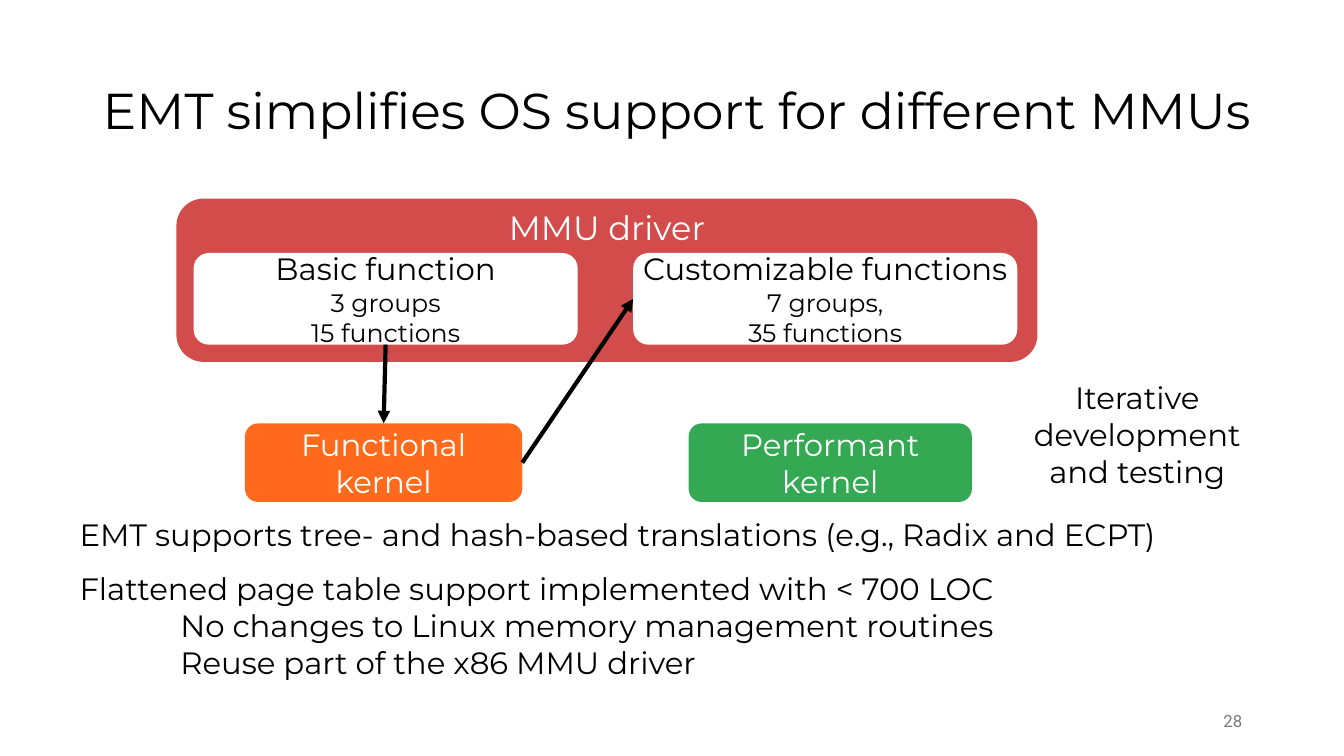
"""Build the slide on how EMT simplifies OS support for different MMUs."""
import pptx
import pptx.dml.color
import pptx.enum.shapes
import pptx.enum.text
import pptx.oxml.ns
import pptx.util
from lxml import etree

Inches = pptx.util.Inches
Pt = pptx.util.Pt
RGBColor = pptx.dml.color.RGBColor
ALIGN = pptx.enum.text.PP_ALIGN
ANCHOR = pptx.enum.text.MSO_ANCHOR

BLACK = RGBColor(0x00, 0x00, 0x00)
WHITE = RGBColor(0xFF, 0xFF, 0xFF)
RED = RGBColor(0xD3, 0x4C, 0x4C)
ORANGE = RGBColor(0xFF, 0x6A, 0x1C)
GREEN = RGBColor(0x34, 0xA8, 0x53)
GREY = RGBColor(0x79, 0x79, 0x79)
BODY_FONT = "Montserrat"
NUMBER_FONT = "Roboto"

TITLE = [("EMT simplifies OS support for different MMUs", 36)]
DRIVER = [("MMU driver", 24)]
FUNCTION_GROUPS = [
    [("Basic function", 22), ("3 groups", 18), ("15 functions", 18)],
    [("Customizable functions", 22), ("7 groups,", 18), ("35 functions", 18)],
]
KERNELS = [
    ("Functional kernel", ORANGE, 2.43, 2.75),
    ("Performant kernel", GREEN, 6.83, 2.81),
]
PROCESS = [("Iterative development", 22), ("and testing", 22)]
FINDINGS = [
    ("EMT supports tree- and hash-based translations (e.g., Radix and ECPT)", 22),
    ("Flattened page table support implemented with < 700 LOC", 22),
    ("No changes to Linux memory management routines", 22),
    ("Reuse part of the x86 MMU driver", 22),
]
PAGE_NUMBER = [("28", 12)]

FUNCTION_LEFT, FUNCTION_STEP = 1.92, 4.36
FUNCTION_TOP, FUNCTION_WIDTH, FUNCTION_HEIGHT = 2.51, 3.81, 0.91
KERNEL_TOP, KERNEL_HEIGHT = 4.2, 0.78


def write(shape, lines, color, align, anchor, font=BODY_FONT):
    """Fill a shape with one paragraph per (text, size) line."""
    frame = shape.text_frame
    frame.word_wrap = True
    frame.vertical_anchor = anchor
    for index, (text, size) in enumerate(lines):
        para = frame.add_paragraph() if index else frame.paragraphs[0]
        para.alignment = align
        span = para.add_run()
        span.text = text
        span.font.size = Pt(size)
        span.font.name = font
        span.font.color.rgb = color
    return frame


def add_label(page, place, lines, align, anchor=ANCHOR.TOP, color=BLACK, font=BODY_FONT):
    """Add a plain text box."""
    box = page.shapes.add_textbox(*map(Inches, place))
    return write(box, lines, color, align, anchor, font)


def add_block(page, place, lines, fill, color, anchor=ANCHOR.MIDDLE, tight=False):
    """Add a filled rounded rectangle with centred text."""
    block = page.shapes.add_shape(
        pptx.enum.shapes.MSO_SHAPE.ROUNDED_RECTANGLE, *map(Inches, place))
    block.shadow.inherit = False
    block.fill.solid()
    block.fill.fore_color.rgb = fill
    block.line.fill.background()
    frame = write(block, lines, color, ALIGN.CENTER, anchor)
    if tight:
        frame.margin_left = frame.margin_right = 0
        frame.margin_top = frame.margin_bottom = 0
        frame.word_wrap = False
    return block


def add_arrow(page, source, source_side, target, target_side):
    """Join two blocks with a black arrow."""
    arrow = page.shapes.add_connector(
        pptx.enum.shapes.MSO_CONNECTOR.STRAIGHT, 0, 0, 0, 0)
    arrow.begin_connect(source, source_side)
    arrow.end_connect(target, target_side)
    arrow.line.color.rgb = BLACK
    arrow.line.width = Pt(3)
    qn = pptx.oxml.ns.qn
    etree.SubElement(arrow.line._get_or_add_ln(), qn("a:tailEnd"), type="triangle")
    etree.SubElement(arrow._element.spPr, qn("a:effectLst"))


def main():
    """Lay out the slide and save it."""
    deck = pptx.Presentation()
    deck.slide_width, deck.slide_height = Inches(13.33), Inches(7.5)
    page = deck.slides.add_slide(deck.slide_layouts[6])

    title = add_label(page, (0.92, 0.4, 12.06, 1.45), TITLE, ALIGN.LEFT, ANCHOR.MIDDLE)
    title.paragraphs[0].line_spacing = 0.9

    add_block(page, (1.75, 1.97, 8.54, 1.62), DRIVER, RED, WHITE, ANCHOR.TOP, True)
    functions = [
        add_block(page, (FUNCTION_LEFT + index * FUNCTION_STEP, FUNCTION_TOP,
                         FUNCTION_WIDTH, FUNCTION_HEIGHT),
                  lines, WHITE, BLACK, tight=True)
        for index, lines in enumerate(FUNCTION_GROUPS)
    ]
    kernels = [
        add_block(page, (left, KERNEL_TOP, width, KERNEL_HEIGHT), [(name, 22)], fill, WHITE)
        for name, fill, left, width in KERNELS
    ]
    add_arrow(page, functions[0], 2, kernels[0], 0)
    add_arrow(page, kernels[0], 3, functions[1], 1)

    add_label(page, (9.75, 3.71, 3.06, 1.21), PROCESS, ALIGN.CENTER)
    findings = add_label(page, (0.69, 5.07, 12.15, 1.75), FINDINGS, ALIGN.LEFT)
    findings.paragraphs[1].space_before = Pt(12)
    for para in findings.paragraphs[2:]:
        para._p.get_or_add_pPr().set("marL", str(Inches(1)))

    add_label(page, (9.42, 6.95, 3, 0.4), PAGE_NUMBER, ALIGN.RIGHT, ANCHOR.MIDDLE,
              GREY, NUMBER_FONT)
    deck.save("out.pptx")


if __name__ == "__main__":
    main()
